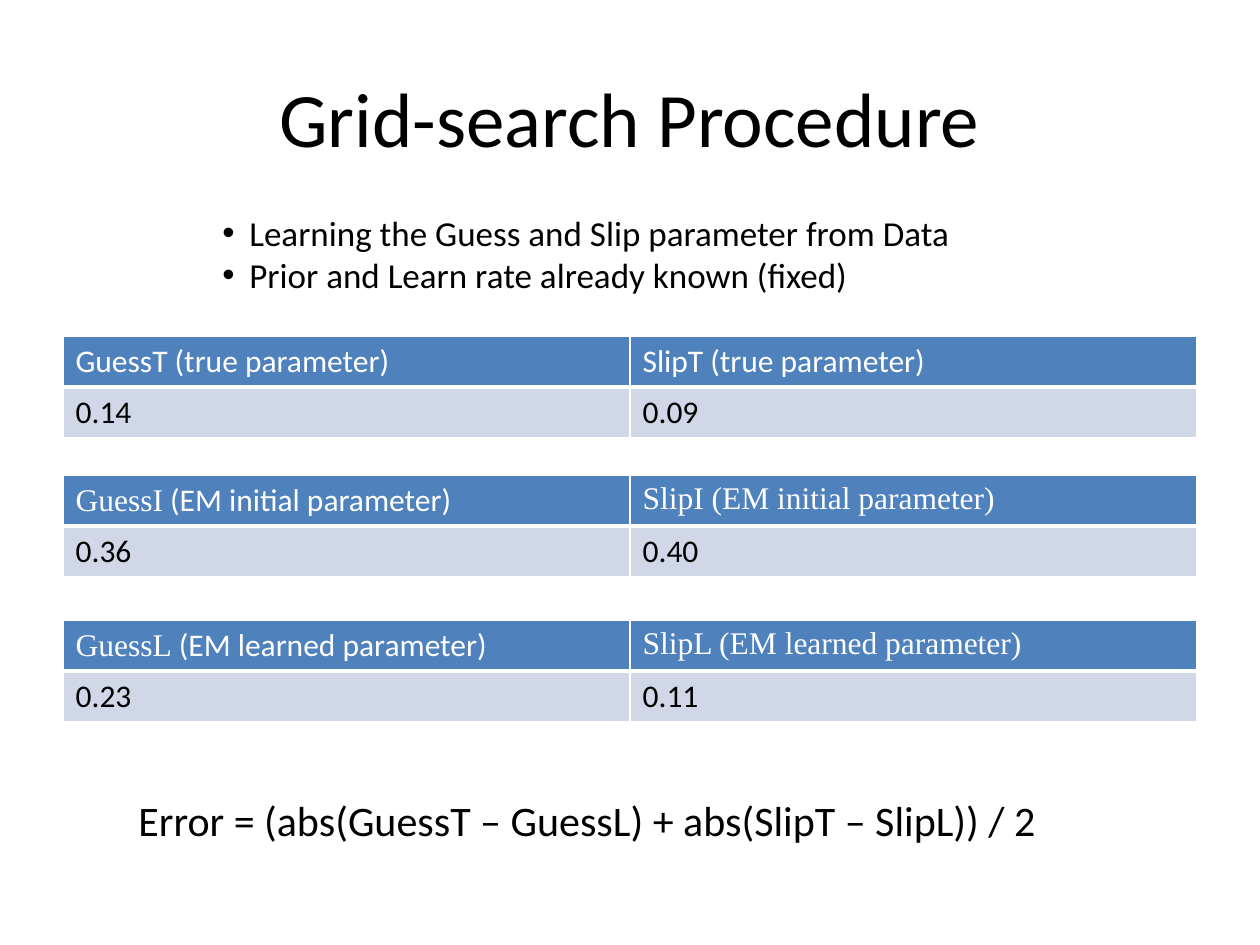
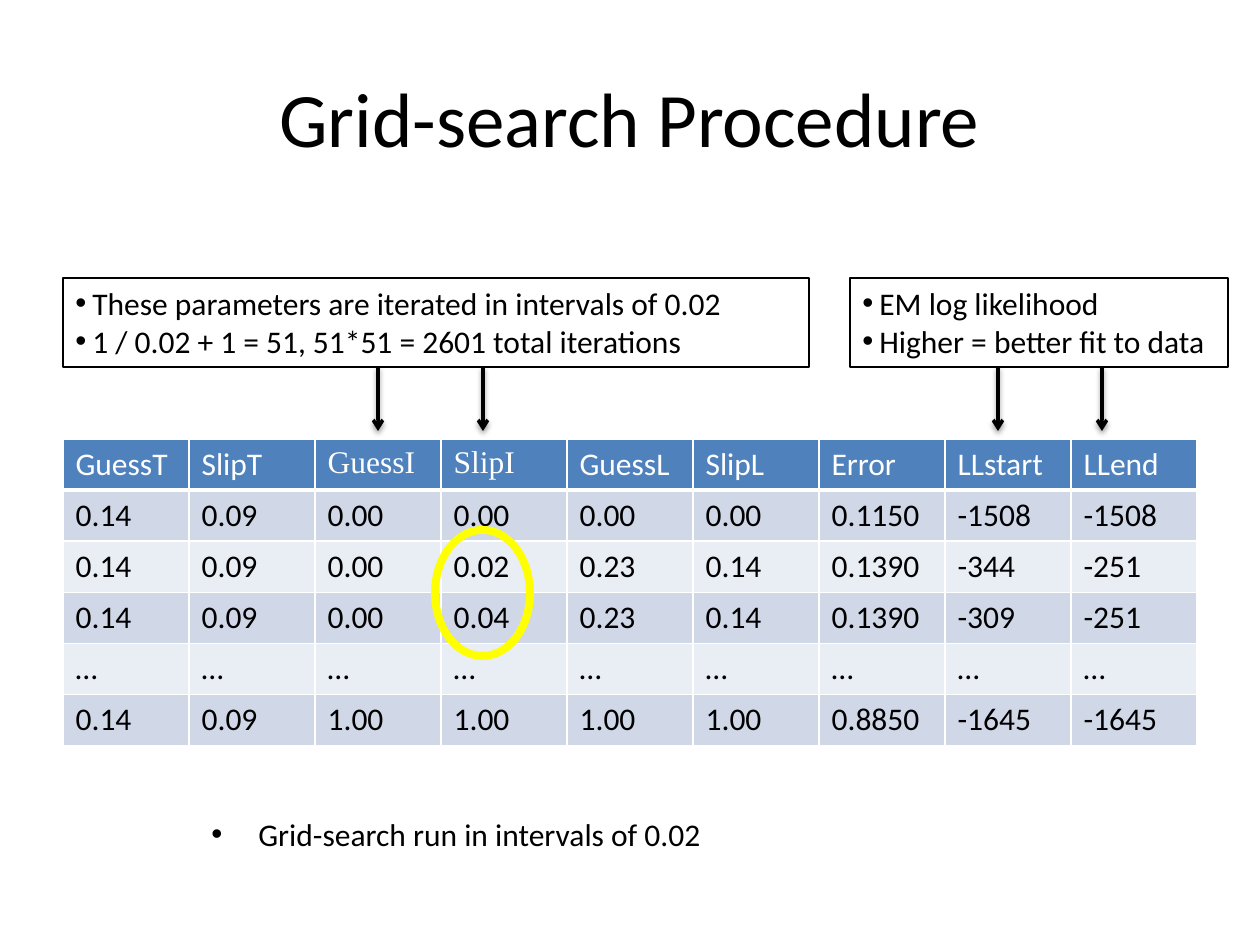
from typing import Any, NamedTuple, Optional

from lxml import etree
from pptx import Presentation
from pptx import util as u
from pptx.dml.color import RGBColor
from pptx.enum import shapes, text
from pptx.oxml import parse_xml
from pptx.oxml.ns import nsdecls, qn

PX = u.Inches(1) / 126
SLIDE_W, SLIDE_H = 1260, 945
LEFT, CONTENT_W = 63, 1134
ROW_H = 51

BLACK = RGBColor(0x00, 0x00, 0x00)
WHITE = RGBColor(0xFF, 0xFF, 0xFF)
YELLOW = RGBColor(0xFF, 0xFF, 0x00)
HEADER_BLUE = RGBColor(0x4F, 0x81, 0xBD)
BANDS = (RGBColor(0xD0, 0xD8, 0xE8), RGBColor(0xE9, 0xED, 0xF4))

SANS, SERIF = "Calibri", "Times New Roman"
TITLE = "Grid-search Procedure"


class Box(NamedTuple):
    x: int
    y: int
    w: int
    h: int


class Label(NamedTuple):
    """Cell text: an optional serif part followed by an optional sans part."""
    serif: str = ""
    sans: str = ""


class ParameterTable(NamedTuple):
    y: int
    header: list[Label]
    values: list[str]


class TextBlock(NamedTuple):
    box: Box
    lines: list[str]
    size: int
    bullet_indent: int = 0
    wrap: bool = True


class Callout(NamedTuple):
    block: TextBlock
    arrow_xs: tuple[int, int]


PARAMETER_TABLES = [
    ParameterTable(336, [Label(sans="GuessT (true parameter)"),
                         Label(sans="SlipT (true parameter)")], ["0.14", "0.09"]),
    ParameterTable(475, [Label("GuessI", " (EM initial parameter)"),
                         Label("SlipI (EM initial parameter)")], ["0.36", "0.40"]),
    ParameterTable(620, [Label("GuessL", " (EM learned parameter)"),
                         Label("SlipL (EM learned parameter)")], ["0.23", "0.11"]),
]
ERROR_FORMULA = TextBlock(
    Box(126, 788, 977, 63),
    ["Error = (abs(GuessT – GuessL) + abs(SlipT – SlipL)) / 2"], 24)
LEARNING_NOTES = TextBlock(
    Box(210, 205, 914, 97),
    ["Learning the Guess and Slip parameter from Data",
     "Prior and Learn rate already known (fixed)"], 20, 27)

SEARCH_HEADER = [
    Label(sans="GuessT"), Label(sans="SlipT"), Label("GuessI"), Label("SlipI"),
    Label(sans="GuessL"), Label(sans="SlipL"), Label(sans="Error"),
    Label(sans="LLstart"), Label(sans="LLend"),
]
SEARCH_ROWS = [
    ["0.14", "0.09", "0.00", "0.00", "0.00", "0.00", "0.1150", "-1508", "-1508"],
    ["0.14", "0.09", "0.00", "0.02", "0.23", "0.14", "0.1390", "-344", "-251"],
    ["0.14", "0.09", "0.00", "0.04", "0.23", "0.14", "0.1390", "-309", "-251"],
    ["…"] * len(SEARCH_HEADER),
    ["0.14", "0.09", "1.00", "1.00", "1.00", "1.00", "0.8850", "-1645", "-1645"],
]
SEARCH_TABLE_Y = 439
CALLOUTS = [
    Callout(TextBlock(Box(63, 278, 746, 89),
                      ["These parameters are iterated in intervals of 0.02",
                       "1 / 0.02 + 1 = 51, 51*51 = 2601 total iterations"], 18, 17),
            (378, 483)),
    Callout(TextBlock(Box(850, 278, 378, 89),
                      ["EM log likelihood", "Higher = better fit to data"], 18, 17),
            (998, 1102)),
]
ARROW_END_Y = 431
HIGHLIGHT = Box(435, 530, 95, 126)
INTERVAL_NOTE = TextBlock(Box(199, 809, 520, 50),
                          ["Grid-search run in intervals of 0.02"], 18, 47, False)


def px(n: float) -> int:
    return round(n * PX)


def emu(box: Box) -> list[int]:
    return [px(n) for n in box]


def apply(target: Any, values: dict[str, Any]) -> None:
    for name, value in values.items():
        setattr(target, name, value)


def add_run(p: Any, content: str, size: int, color: RGBColor = BLACK,
            font: str = SANS) -> None:
    r = p.add_run()
    r.text = content
    apply(r.font, {"size": u.Pt(size), "name": font, "bold": False})
    r.font.color.rgb = color


def set_bullet(p: Any, indent: int) -> None:
    pPr = p._p.get_or_add_pPr()
    pPr.set("marL", str(px(indent)))
    pPr.set("indent", str(-px(indent)))
    etree.SubElement(pPr, qn("a:buFont")).set("typeface", "Arial")
    etree.SubElement(pPr, qn("a:buChar")).set("char", "•")


def write_block(sp: Any, block: TextBlock) -> None:
    tf = sp.text_frame
    apply(tf, {"word_wrap": block.wrap,
               "auto_size": text.MSO_AUTO_SIZE.SHAPE_TO_FIT_TEXT,
               "vertical_anchor": text.MSO_ANCHOR.TOP})
    for i, line in enumerate(block.lines):
        p = tf.add_paragraph() if i else tf.paragraphs[0]
        p.alignment = text.PP_ALIGN.LEFT
        if block.bullet_indent:
            set_bullet(p, block.bullet_indent)
        add_run(p, line, block.size)


def add_text(s: Any, block: TextBlock) -> None:
    write_block(s.shapes.add_textbox(*emu(block.box)), block)


def add_outline(s: Any, kind: shapes.MSO_SHAPE, box: Box, color: RGBColor,
                width: float) -> Any:
    """Add an unfilled preset shape."""
    sp = s.shapes.add_shape(kind, *emu(box))
    sp.shadow.inherit = False
    sp.fill.background()
    sp.line.color.rgb = color
    sp.line.width = u.Pt(width)
    return sp


def add_down_arrow(s: Any, x: int, top: int, bottom: int) -> None:
    line = s.shapes.add_connector(shapes.MSO_CONNECTOR.STRAIGHT,
                                  px(x), px(top), px(x), px(bottom))
    line.line.color.rgb = BLACK
    line.line.width = u.Pt(2)
    etree.SubElement(line.line._get_or_add_ln(), qn("a:tailEnd")).set("type", "arrow")
    line._element.spPr.append(parse_xml(
        f'<a:effectLst {nsdecls("a")}><a:outerShdw blurRad="{u.Pt(3.1)}" '
        f'dist="{u.Pt(1.6)}" dir="5400000" rotWithShape="0">'
        '<a:srgbClr val="000000"><a:alpha val="38000"/></a:srgbClr>'
        '</a:outerShdw></a:effectLst>'))


def set_borders(cell: Any, bottom: int) -> None:
    """Draw white 1 pt borders, with a chosen width at the bottom."""
    tcPr = cell._tc.get_or_add_tcPr()
    for i, (side, width) in enumerate((("L", 1), ("R", 1), ("T", 1), ("B", bottom))):
        tcPr.insert(i, parse_xml(
            f'<a:ln{side} {nsdecls("a")} w="{u.Pt(width)}"><a:solidFill>'
            f'<a:srgbClr val="{WHITE}"/></a:solidFill></a:ln{side}>'))


def fill_cell(cell: Any, label: Label, fill: RGBColor, color: RGBColor,
              bottom: int) -> None:
    cell.fill.solid()
    cell.fill.fore_color.rgb = fill
    set_borders(cell, bottom)
    for content, font in zip(label, (SERIF, SANS)):
        if content:
            add_run(cell.text_frame.paragraphs[0], content, 18, color, font)


def add_grid(s: Any, y: int, header: list[Label], rows: list[list[str]]) -> None:
    n_rows, n_cols = len(rows) + 1, len(header)
    box = Box(LEFT, y, CONTENT_W, n_rows * ROW_H)
    table = s.shapes.add_table(n_rows, n_cols, *emu(box)).table
    for col in table.columns:
        col.width = px(CONTENT_W / n_cols)
    for row in table.rows:
        row.height = px(ROW_H)
    for c, label in enumerate(header):
        fill_cell(table.cell(0, c), label, HEADER_BLUE, WHITE, 3)
    for i, values in enumerate(rows):
        for c, value in enumerate(values):
            fill_cell(table.cell(i + 1, c), Label(sans=value), BANDS[i % 2], BLACK, 1)


def add_titled_slide(prs: Any, title: Optional[str] = TITLE) -> Any:
    s = prs.slides.add_slide(prs.slide_layouts[5])
    sp = s.shapes.title
    apply(sp, dict(zip(("left", "top", "width", "height"),
                       emu(Box(LEFT, 38, CONTENT_W, 158)))))
    sp.text_frame.vertical_anchor = text.MSO_ANCHOR.MIDDLE
    p = sp.text_frame.paragraphs[0]
    p.alignment = text.PP_ALIGN.CENTER
    add_run(p, title, 44)
    return s


def build_parameters_slide(prs: Any) -> None:
    s = add_titled_slide(prs)
    for t in PARAMETER_TABLES:
        add_grid(s, t.y, t.header, [t.values])
    for block in (ERROR_FORMULA, LEARNING_NOTES):
        add_text(s, block)


def build_search_slide(prs: Any) -> None:
    s = add_titled_slide(prs)
    add_grid(s, SEARCH_TABLE_Y, SEARCH_HEADER, SEARCH_ROWS)
    for block, arrow_xs in CALLOUTS:
        for x in arrow_xs:
            add_down_arrow(s, x, block.box.y + block.box.h, ARROW_END_Y)
        write_block(add_outline(s, shapes.MSO_SHAPE.RECTANGLE, block.box, BLACK, 1.5),
                    block)
    add_outline(s, shapes.MSO_SHAPE.OVAL, HIGHLIGHT, YELLOW, 4.5)
    add_text(s, INTERVAL_NOTE)


def main() -> None:
    prs = Presentation()
    apply(prs, {"slide_width": px(SLIDE_W), "slide_height": px(SLIDE_H)})
    build_parameters_slide(prs)
    build_search_slide(prs)
    prs.save("out.pptx")


if __name__ == "__main__":
    main()
